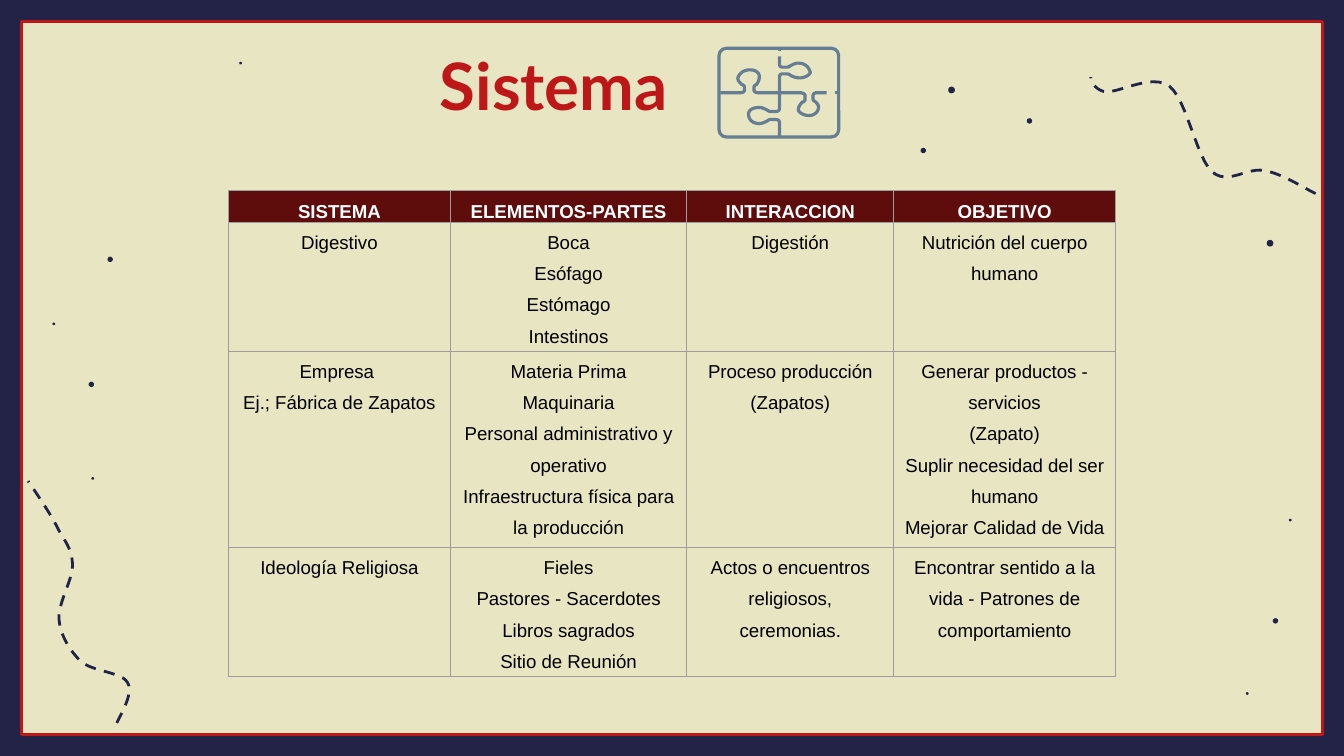
import pptx
import pptx.dml.color
import pptx.enum.dml
import pptx.enum.shapes
import pptx.enum.text
import pptx.oxml
import pptx.oxml.ns
import pptx.util

Inches = pptx.util.Inches
Pt = pptx.util.Pt
SHAPES = pptx.enum.shapes.MSO_SHAPE
CENTER = pptx.enum.text.PP_ALIGN.CENTER

COLORS = {"cream": "E8E5C3", "navy": "232347", "red": "BD1717", "steel": "657E93",
          "maroon": "5E0C0C", "grid": "9E9E9E", "white": "FFFFFF", "black": "000000"}
WIDTH, EDGE = 10, 0.16
HEIGHT = WIDTH * 9 / 16

# Curves in hundredths of an inch from the box corner: a start point, then
# segments of one point (straight) or three points (cubic curve).
TOP_TRAIL = [(36, 0), [(30, 3), (7, 14), (3, 21)], [(-2, 29), (0, 40), (10, 43)],
             [(19, 46), (45, 29), (59, 39)], [(72, 49), (79, 92), (91, 103)],
             [(103, 113), (117, 99), (130, 102)], [(143, 104), (161, 116), (168, 119)]]
BOTTOM_TRAIL = [(66, 180), [(68, 175), (79, 158), (74, 150)], [(70, 142), (48, 142), (39, 134)],
                [(31, 126), (24, 115), (23, 103)], [(22, 91), (33, 74), (33, 63)],
                [(33, 52), (29, 47), (23, 37)], [(18, 26), (4, 6), (0, 0)]]
PUZZLE_ACROSS = [
    (2, 34), [(17, 34)], [(19, 34), (20, 33), (20, 32)], [(20, 30)],
    [(20, 29), (19, 28), (18, 28)], [(16, 26), (15, 25), (15, 23)],
    [(16, 20), (19, 17), (24, 17)], [(28, 17), (31, 19), (31, 22)],
    [(31, 25), (30, 26), (29, 28)], [(28, 28), (27, 29), (27, 30)], [(27, 32)],
    [(27, 33), (28, 34), (30, 34)], [(61, 34)], [(63, 34), (65, 35), (65, 36)], [(65, 39)],
    [(65, 40), (64, 41), (63, 41)], [(61, 43), (60, 45), (60, 47)],
    [(61, 49), (64, 51), (68, 51)], [(72, 51), (75, 48), (75, 45)],
    [(75, 43), (74, 42), (73, 41)], [(72, 40), (71, 40), (71, 39)], [(71, 36)],
    [(71, 35), (72, 34), (74, 34)], [(81, 34)]]
PUZZLE_DOWN = [
    (46, 7), [(46, 13)], [(46, 14), (47, 15), (48, 15)], [(51, 15)],
    [(52, 15), (53, 15), (54, 14)], [(56, 13), (58, 12), (60, 12)],
    [(65, 12), (68, 15), (69, 19)], [(68, 21), (65, 23), (61, 23)],
    [(58, 23), (56, 22), (54, 21)], [(53, 20), (52, 20), (51, 20)], [(48, 20)],
    [(47, 20), (46, 21), (46, 22)], [(46, 46)], [(46, 47), (45, 48), (43, 48)], [(40, 48)],
    [(39, 48), (38, 48), (37, 47)], [(35, 46), (33, 45), (31, 45)],
    [(26, 45), (23, 47), (23, 50)], [(23, 54), (26, 57), (31, 57)],
    [(33, 57), (35, 56), (37, 55)], [(38, 54), (39, 54), (40, 54)], [(43, 54)],
    [(45, 54), (46, 55), (46, 56)], [(46, 67)]]
PUZZLE_TICKS = [[(46, 1), [(46, 3)]], [(87, 34), [(90, 34)]]]

# Centre x, centre y, diameter
DOTS = [(7.08, 0.67, 0.05), (9.45, 1.81, 0.05), (0.69, 3.56, 0.02), (9.49, 4.62, 0.04),
        (0.68, 2.86, 0.04), (0.82, 1.93, 0.04), (7.66, 0.9, 0.04), (1.79, 0.47, 0.02),
        (9.28, 5.16, 0.02), (0.4, 2.41, 0.02), (6.87, 1.12, 0.04), (9.6, 3.87, 0.02)]

COLUMNS = [1.65, 1.76, 1.54, 1.65]
ROWS = [0.22, 0.96, 1.46, 0.96]
CELLS = [
    ["SISTEMA", "ELEMENTOS-PARTES", "INTERACCION", "OBJETIVO"],
    ["Digestivo", "Boca\nEsófago\nEstómago\nIntestinos", "Digestión",
     "Nutrición del cuerpo humano"],
    ["Empresa \nEj.; Fábrica de Zapatos",
     "Materia Prima\nMaquinaria\nPersonal administrativo y operativo\n"
     "Infraestructura física para la producción",
     "Proceso producción (Zapatos)",
     "Generar productos - servicios\n(Zapato)\nSuplir necesidad del ser humano\n"
     "Mejorar Calidad de Vida"],
    ["Ideología Religiosa", "Fieles\nPastores - Sacerdotes\nLibros sagrados\nSitio de Reunión",
     "Actos o encuentros religiosos, ceremonias.",
     "Encontrar sentido a la vida - Patrones de comportamiento"],
]


def color(name):
    return pptx.dml.color.RGBColor.from_string(COLORS[name])


def paint(shape, fill=None, line=None, weight=1.5):
    shape.shadow.inherit = False
    if fill:
        shape.fill.solid()
        shape.fill.fore_color.rgb = color(fill)
    else:
        shape.fill.background()
    if line:
        shape.line.color.rgb = color(line)
        shape.line.width = Pt(weight)
    else:
        shape.line.fill.background()
    return shape


def add_preset(page, kind, box, **look):
    return paint(page.shapes.add_shape(kind, *map(Inches, box)), **look)


def add_curve(page, left, top, curve, line, weight):
    start, *segments = curve
    points = [start]
    for segment in segments:
        if len(segment) == 1:
            points += segment
            continue
        knots = [points[-1], *segment]
        for step in range(1, 13):
            t = step / 12
            weights = ((1 - t) ** 3, 3 * t * (1 - t) ** 2, 3 * t * t * (1 - t), t ** 3)
            points.append(tuple(sum(w * knot[axis] for w, knot in zip(weights, knots))
                                for axis in (0, 1)))
    spots = [(Inches(left + x / 100), Inches(top + y / 100)) for x, y in points]
    builder = page.shapes.build_freeform(*spots[0])
    builder.add_line_segments(spots[1:], close=False)
    return paint(builder.convert_to_shape(), line=line, weight=weight)


def add_span(para, text, font, size, tint, bold):
    para.alignment = CENTER
    span = para.add_run()
    span.text = text
    span.font.name, span.font.size, span.font.bold = font, Pt(size), bold
    span.font.color.rgb = color(tint)


def add_backdrop(page, width, height):
    page.background.fill.solid()
    page.background.fill.fore_color.rgb = color("cream")
    # Dashed trails
    for left, top, curve in [(8.11, 0.25, TOP_TRAIL), (0.21, 3.58, BOTTOM_TRAIL)]:
        trail = add_curve(page, left, top, curve, "navy", 1.5)
        trail.line.dash_style = pptx.enum.dml.MSO_LINE.DASH
    # Dots
    for x, y, size in DOTS:
        add_preset(page, SHAPES.OVAL, (x - size / 2, y - size / 2, size, size), fill="navy")
    # Border bars and red frame
    for bar in [(0, 0, width, EDGE), (0, height - EDGE, width, EDGE),
                (0, 0, EDGE, height), (width - EDGE, 0, EDGE, height)]:
        add_preset(page, SHAPES.RECTANGLE, bar, fill="navy")
    inner = (EDGE, EDGE, width - 2 * EDGE, height - 2 * EDGE)
    add_preset(page, SHAPES.RECTANGLE, inner, line="red")


def add_title(page, left, top, width, height):
    # Plain band that hides the start of the upper trail
    band = add_preset(page, SHAPES.RECTANGLE, (left + 2.05, top + 0.03, 4.9, 0.34),
                      fill="cream", line="cream", weight=2)
    title = page.shapes.title
    band.element.addnext(title.element)
    title.left, title.top, title.width, title.height = map(Inches, (left, top, width, height))
    frame = title.text_frame
    frame.vertical_anchor = pptx.enum.text.MSO_ANCHOR.BOTTOM
    frame.margin_left = frame.margin_right = frame.margin_top = frame.margin_bottom = Inches(0.1)
    add_span(frame.paragraphs[0], "Sistema", "Lato", 35, "red", True)


def add_puzzle(page, left, top, width, height):
    outline = add_preset(page, SHAPES.ROUNDED_RECTANGLE,
                         (left + 0.01, top + 0.01, width - 0.02, height - 0.02),
                         line="steel", weight=1.7)
    outline.adjustments[0] = 0.08
    for curve in [PUZZLE_ACROSS, PUZZLE_DOWN, *PUZZLE_TICKS]:
        add_curve(page, left, top, curve, "steel", 1.7)


def add_borders(cell):
    properties = cell._tc.get_or_add_tcPr()
    for side in ("lnL", "lnR", "lnT", "lnB"):
        properties.append(pptx.oxml.parse_xml(
            f'<a:{side} {pptx.oxml.ns.nsdecls("a")} w="{Pt(0.75)}"><a:solidFill>'
            f'<a:srgbClr val="{COLORS["grid"]}"/></a:solidFill></a:{side}>'))


def add_systems_table(page, left, top):
    box = map(Inches, (left, top, sum(COLUMNS), sum(ROWS)))
    table = page.shapes.add_table(len(ROWS), len(COLUMNS), *box).table
    table.first_row = table.horz_banding = False
    for column, width in zip(table.columns, COLUMNS):
        column.width = Inches(width)
    for index, (row, height) in enumerate(zip(table.rows, ROWS)):
        row.height = Inches(height)
        header = index == 0
        for cell, text in zip(row.cells, CELLS[index]):
            cell.margin_left = cell.margin_right = Inches(0.07)
            cell.margin_top = cell.margin_bottom = 0
            add_borders(cell)
            if header:
                cell.fill.solid()
                cell.fill.fore_color.rgb = color("maroon")
            else:
                cell.fill.background()
            for number, line in enumerate(text.split("\n")):
                frame = cell.text_frame
                para = frame.add_paragraph() if number else frame.paragraphs[0]
                para.line_spacing = 1.5
                add_span(para, line, "Arial", 10, "white" if header else "black", header)


def main():
    deck = pptx.Presentation()
    deck.slide_width, deck.slide_height = Inches(WIDTH), Inches(HEIGHT)
    page = deck.slides.add_slide(deck.slide_layouts[5])
    add_backdrop(page, WIDTH, HEIGHT)
    add_title(page, 2.18, 0.19, 3.88, 0.83)
    add_puzzle(page, 5.34, 0.35, 0.91, 0.68)
    add_systems_table(page, 1.7, 1.42)
    deck.save("out.pptx")


if __name__ == "__main__":
    main()
